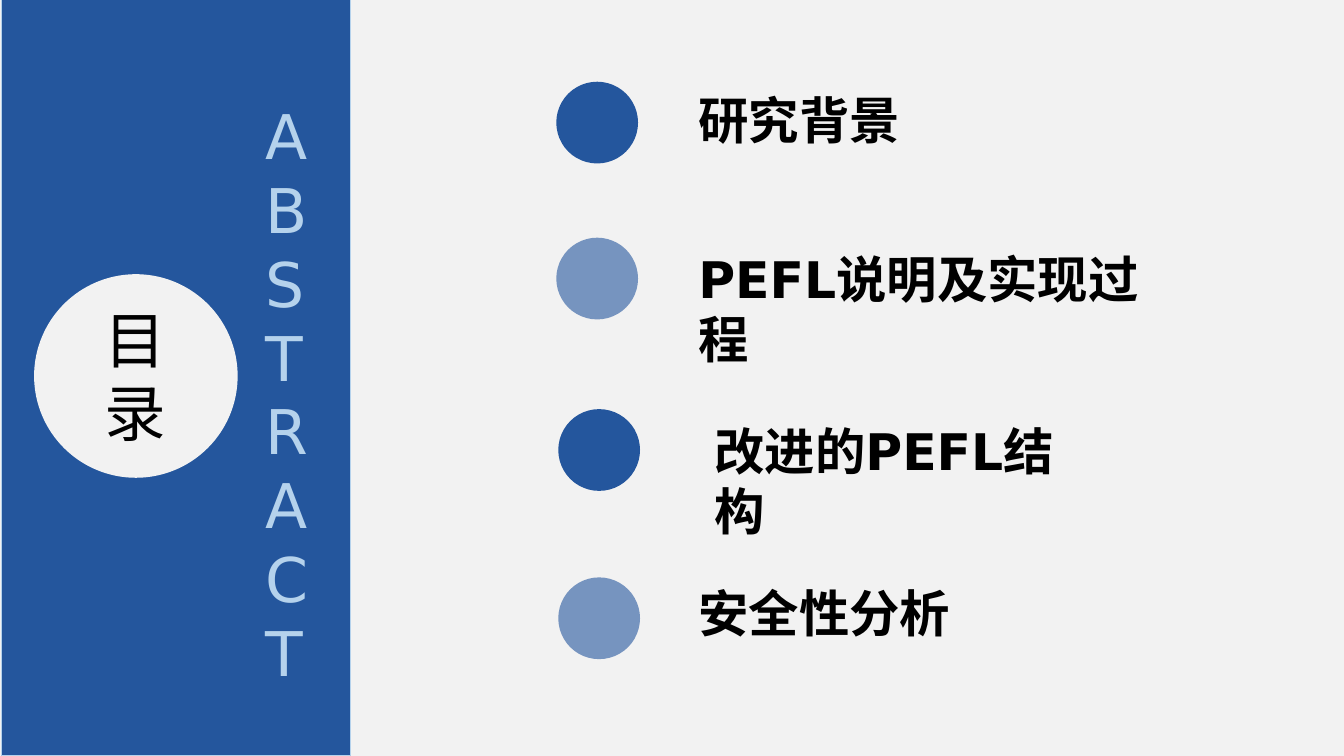
from pptx import Presentation
from pptx.dml.color import RGBColor
from pptx.enum.shapes import MSO_SHAPE
from pptx.enum.text import MSO_ANCHOR, MSO_AUTO_SIZE, PP_ALIGN
from pptx.oxml.ns import qn
from pptx.util import Cm, Pt
from lxml.etree import SubElement

COLORS = {"blue": "24569D", "pale": "F2F2F2", "sky": "B5D2EC", "black": "000000"}
FONT = "DejaVu Sans"


def add_solid(slide, kind, box, color, alpha=100):
    shape = slide.shapes.add_shape(kind, *[Cm(length) for length in box])
    shape.shadow.inherit = False
    shape.fill.solid()
    shape.fill.fore_color.rgb = RGBColor.from_string(COLORS[color])
    shape.line.fill.background()
    if alpha < 100:
        color_element = shape.element.spPr.find(qn("a:solidFill"))[0]
        SubElement(color_element, qn("a:alpha"), val=str(alpha * 1000))
    return shape


def write_text(shape, text, size, color, bold=False):
    frame = shape.text_frame
    frame.word_wrap = True
    frame.auto_size = MSO_AUTO_SIZE.NONE
    frame.vertical_anchor = MSO_ANCHOR.TOP
    paragraph = frame.paragraphs[0]
    paragraph.alignment = PP_ALIGN.LEFT
    run = paragraph.add_run()
    run.text = text
    run.font.name = FONT
    run.font.size = Pt(size)
    run.font.bold = bold
    run.font.color.rgb = RGBColor.from_string(COLORS[color])


presentation = Presentation()
presentation.slide_width = Cm(33.87)
presentation.slide_height = Cm(19.05)
slide = presentation.slides.add_slide(presentation.slide_layouts[5])
slide.background.fill.solid()
slide.background.fill.fore_color.rgb = RGBColor.from_string(COLORS["pale"])

# Side panel with the round title badge
panel = add_solid(slide, MSO_SHAPE.RECTANGLE, (0.03, 0, 8.81, 19.05), "blue")
panel.line.color.rgb = RGBColor.from_string(COLORS["sky"])
panel.line.width = Pt(0)
badge = add_solid(slide, MSO_SHAPE.OVAL, (0.86, 6.91, 5.13, 5.13), "pale")

# Title, raised above the badge
title = slide.shapes.title
title.left, title.top, title.width, title.height = Cm(2.39), Cm(7.47), Cm(2.06), Cm(4.01)
write_text(title, "目录", 44, "black")
badge.element.addnext(title.element)

# Narrow box that stacks the letters
abstract = slide.shapes.add_textbox(Cm(6.43), Cm(2.34), Cm(2.06), Cm(15.29))
write_text(abstract, "ABSTRACT", 44, "sky")

# Agenda: text, dot left, dot top, text left, text top, text width
agenda = [
    ("研究背景", 14.02, 2.06, 17.35, 2.13, 5.64),
    ("PEFL说明及实现过程", 14.02, 5.99, 17.35, 6.12, 12.42),
    ("改进的PEFL结构", 14.07, 10.31, 17.75, 10.46, 9.88),
    ("安全性分析", 14.07, 14.55, 17.35, 14.55, 6.93),
]
for index, (text, dot_left, dot_top, left, top, width) in enumerate(agenda):
    alpha = 60 if index % 2 else 100
    add_solid(slide, MSO_SHAPE.OVAL, (dot_left, dot_top, 2.06, 2.06), "blue", alpha)
    item = slide.shapes.add_textbox(Cm(left), Cm(top), Cm(width), Cm(1.8))
    write_text(item, text, 36, "black", bold=True)

presentation.save("out.pptx")
